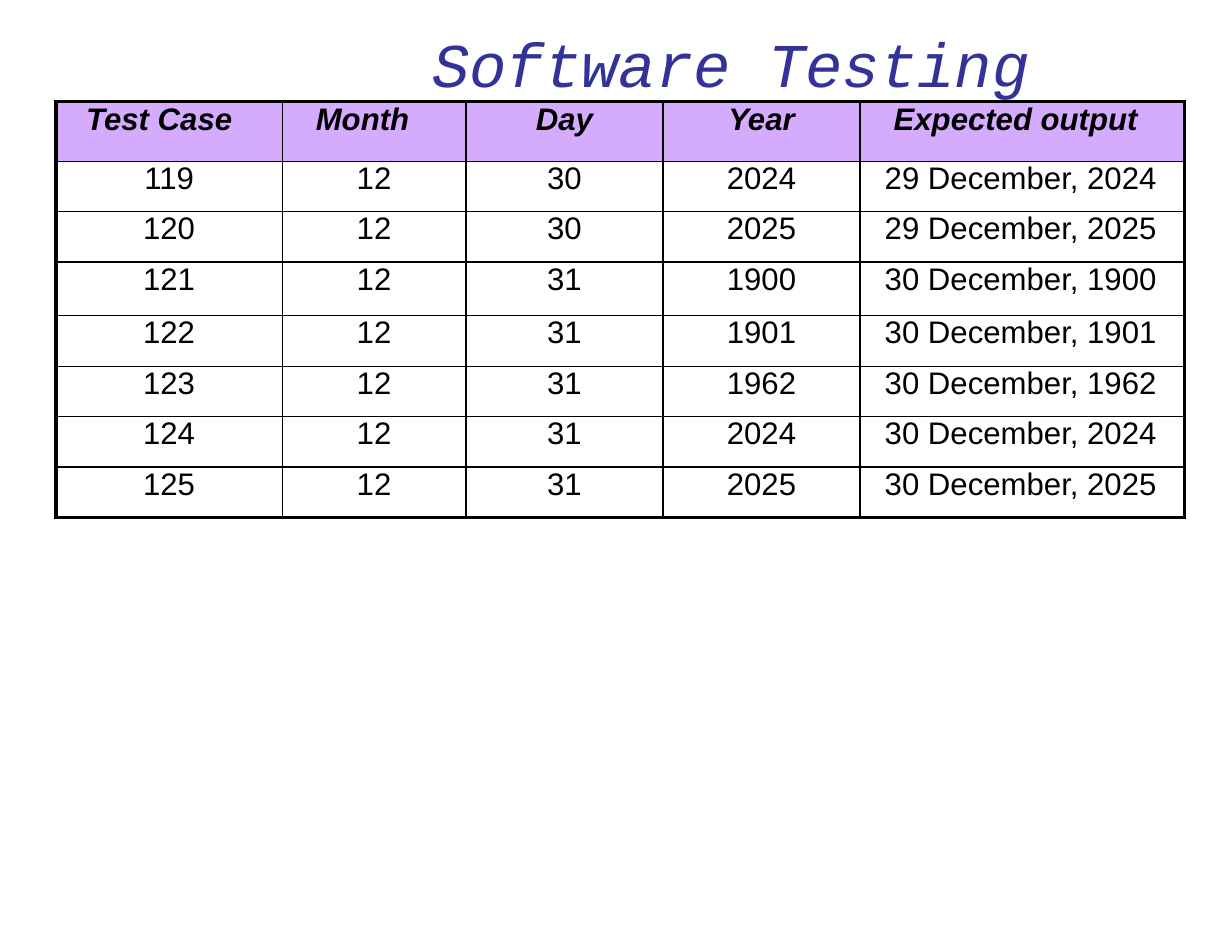
from lxml.etree import SubElement
from pptx import Presentation
from pptx.dml.color import RGBColor
from pptx.enum.text import MSO_ANCHOR, MSO_AUTO_SIZE, PP_ALIGN
from pptx.oxml.ns import qn
from pptx.util import Inches, Pt

COLOURS = {"title": "323299", "text": "000000", "border": "000000", "header": "D5ACFD"}
THIN, THICK = 1, 2.25

COLUMN_WIDTHS = [2.02, 1.64, 1.76, 1.76, 2.9]
ROW_HEIGHTS = [0.53, 0.45, 0.45, 0.48, 0.45, 0.45, 0.45, 0.45]
# Left indent of each column's text; None means centred
HEADER_INDENTS = [0.27, 0.3, None, None, 0.3]
BODY_INDENTS = [None, None, None, None, 0.22]

HEADER = ["Test Case", "Month", "Day", "Year", "Expected output"]
TEST_CASES = [
    ["119", "12", "30", "2024", "29 December, 2024"],
    ["120", "12", "30", "2025", "29 December, 2025"],
    ["121", "12", "31", "1900", "30 December, 1900"],
    ["122", "12", "31", "1901", "30 December, 1901"],
    ["123", "12", "31", "1962", "30 December, 1962"],
    ["124", "12", "31", "2024", "30 December, 2024"],
    ["125", "12", "31", "2025", "30 December, 2025"],
]


def place_text(para, indent):
    """Indent the paragraph from the left, or centre it without an indent."""
    para.alignment = PP_ALIGN.CENTER if indent is None else PP_ALIGN.LEFT
    if indent is not None:
        properties = para._p.get_or_add_pPr()
        properties.set("marL", str(Inches(indent)))
        properties.set("indent", "0")


def set_font(para, name, size, colour, bold=False, italic=False):
    font = para.font
    font.name, font.size = name, Pt(size)
    font.bold, font.italic = bold, italic
    font.color.rgb = RGBColor.from_string(COLOURS[colour])


def clear_margins(holder, top=0):
    holder.margin_left = holder.margin_right = holder.margin_bottom = 0
    holder.margin_top = Inches(top)
    holder.vertical_anchor = MSO_ANCHOR.TOP


def add_title(page, text):
    title = page.shapes.title
    title.left, title.top = Inches(0.96), 0
    title.width, title.height = Inches(9.16), Inches(0.91)
    frame = title.text_frame
    frame.text = text
    frame.auto_size = MSO_AUTO_SIZE.NONE
    clear_margins(frame, top=0.23)
    para = frame.paragraphs[0]
    place_text(para, 2.9)
    set_font(para, "Courier New", 40, "title", italic=True)


def set_borders(cell, row, column):
    """Draw thick lines on the table's outer edges and thin ones inside."""
    outer = {
        "L": column == 0,
        "R": column == len(COLUMN_WIDTHS) - 1,
        "T": row == 0,
        "B": row == len(ROW_HEIGHTS) - 1,
    }
    properties = cell._tc.get_or_add_tcPr()
    for side, is_outer in outer.items():
        width = Pt(THICK if is_outer else THIN)
        line = SubElement(properties, qn(f"a:ln{side}"), w=str(width))
        fill = SubElement(line, qn("a:solidFill"))
        SubElement(fill, qn("a:srgbClr"), val=COLOURS["border"])


def fill_cell(cell, text, row, column):
    is_header = row == 0
    cell.text = text
    clear_margins(cell)
    para = cell.text_frame.paragraphs[0]
    place_text(para, (HEADER_INDENTS if is_header else BODY_INDENTS)[column])
    set_font(para, "Arial", 20, "text", bold=is_header, italic=is_header)
    set_borders(cell, row, column)
    if is_header:
        cell.fill.solid()
        cell.fill.fore_color.rgb = RGBColor.from_string(COLOURS["header"])
    else:
        cell.fill.background()


def add_test_table(page):
    rows = [HEADER] + TEST_CASES
    table = page.shapes.add_table(
        len(rows), len(HEADER), Inches(0.5), Inches(0.91),
        Inches(sum(COLUMN_WIDTHS)), Inches(sum(ROW_HEIGHTS)),
    ).table
    table.first_row = table.horz_banding = False
    for column, width in zip(table.columns, COLUMN_WIDTHS):
        column.width = Inches(width)
    for row, height in zip(table.rows, ROW_HEIGHTS):
        row.height = Inches(height)
    for row, texts in enumerate(rows):
        for column, text in enumerate(texts):
            fill_cell(table.cell(row, column), text, row, column)


def main():
    deck = Presentation()
    deck.slide_width, deck.slide_height = Inches(11), Inches(8.5)
    page = deck.slides.add_slide(deck.slide_layouts.get_by_name("Title Only"))
    add_title(page, "Software Testing")
    add_test_table(page)
    deck.save("out.pptx")


if __name__ == "__main__":
    main()
